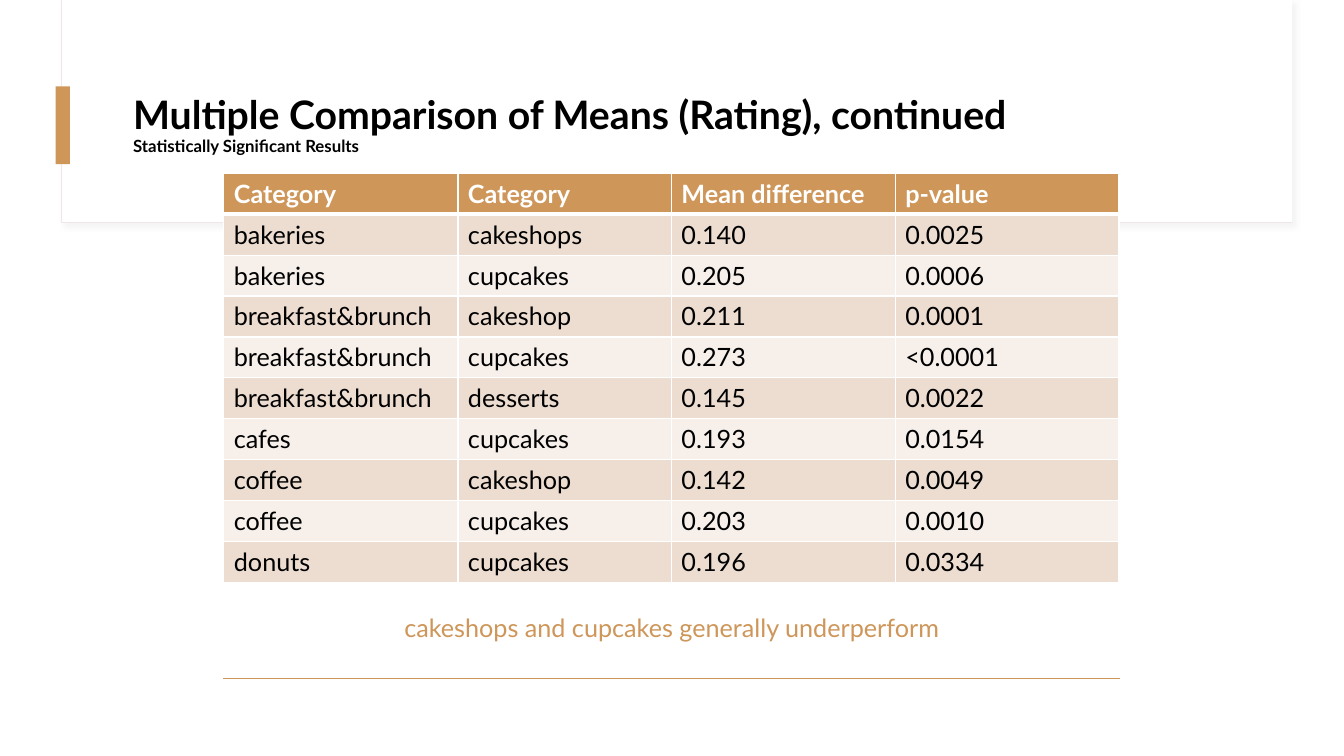
"""Build the slide with the significant rating differences between categories."""
from copy import deepcopy

from lxml import etree
from pptx import Presentation
from pptx.dml.color import RGBColor
from pptx.enum import shapes, text
from pptx.oxml import ns
from pptx.util import Cm, Pt

ACCENT, WHITE, BLACK = "CE9659", "FFFFFF", "000000"
BANDS = ["EDDDD1", "F6EFEA"]
ROWS = [
    ("Category", "Category", "Mean difference", "p-value"),
    ("bakeries", "cakeshops", "0.140", "0.0025"),
    ("bakeries", "cupcakes", "0.205", "0.0006"),
    ("breakfast&brunch", "cakeshop", "0.211", "0.0001"),
    ("breakfast&brunch", "cupcakes", "0.273", "<0.0001"),
    ("breakfast&brunch", "desserts", "0.145", "0.0022"),
    ("cafes", "cupcakes", "0.193", "0.0154"),
    ("coffee", "cakeshop", "0.142", "0.0049"),
    ("coffee", "cupcakes", "0.203", "0.0010"),
    ("donuts", "cupcakes", "0.196", "0.0334"),
]


def paint(target, color):
    if hasattr(target, "solid"):
        target.solid()
        target.fore_color.rgb = RGBColor.from_string(color)
    else:
        target.color.rgb = RGBColor.from_string(color)


def format_cell(cell, fill, color, bold, borders):
    properties = cell._tc.get_or_add_tcPr()
    for side, (line_color, points) in borders.items():
        line = etree.SubElement(properties, ns.qn(f"a:ln{side}"), w=str(Pt(points)))
        solid = etree.SubElement(line, ns.qn("a:solidFill"))
        etree.SubElement(solid, ns.qn("a:srgbClr"), val=line_color)
    paint(cell.fill, fill)
    for run in cell.text_frame.paragraphs[0].runs:
        run.font.name, run.font.size, run.font.bold = "Lato", Pt(18), bold
        paint(run.font, color)


presentation = Presentation()
presentation.slide_width, presentation.slide_height = Cm(33.87), Cm(19.05)
slide = presentation.slides.add_slide(presentation.slide_layouts[5])

panels = []
for left, top, width, height, color in [
    (1.55, 0, 31.01, 5.61, WHITE),
    (1.57, 0, 30.99, 5.59, WHITE),
    (1.4, 2.18, 0.36, 1.96, ACCENT),
]:
    panel = slide.shapes.add_shape(
        shapes.MSO_SHAPE.RECTANGLE, Cm(left), Cm(top), Cm(width), Cm(height))
    panel.shadow.inherit = False
    paint(panel.fill, color)
    panel.line.fill.background()
    panels.append(panel)
frame = panels[0]
paint(frame.line, "F0E5E8")
frame.line.width = Pt(0.75)
effects = frame._element.spPr.find(ns.qn("a:effectLst"))
shadow = etree.SubElement(effects, ns.qn("a:outerShdw"), blurRad=str(Pt(4)),
                          dist=str(Pt(3)), dir="2700000", algn="tl", rotWithShape="0")
shadow_color = etree.SubElement(shadow, ns.qn("a:srgbClr"), val="D9D9D9")
etree.SubElement(shadow_color, ns.qn("a:alpha"), val="30000")

summary = slide.shapes.add_table(2, 1, Cm(5.64), Cm(11.46), Cm(22.58), Cm(5.64)).table
summary.first_row = summary.horz_banding = False
summary.rows[0].height, summary.rows[1].height = Cm(3.1), Cm(2.54)
conclusion = summary.cell(1, 0)
conclusion.text_frame.text = "cakeshops and cupcakes generally underperform"
conclusion.text_frame.paragraphs[0].alignment = text.PP_ALIGN.CENTER
conclusion.vertical_anchor = text.MSO_ANCHOR.MIDDLE
format_cell(summary.cell(0, 0), WHITE, ACCENT, False, {"T": (ACCENT, 1)})
format_cell(conclusion, WHITE, ACCENT, False, {"B": (ACCENT, 1)})

title = slide.shapes.title
title.left, title.top, title.width, title.height = Cm(3.1), Cm(1.52), Cm(28.24), Cm(3.28)
title._element.getparent().append(title._element)
title.text_frame.text = "Multiple Comparison of Means (Rating), continued\vStatistically Significant Results"
title.text_frame.word_wrap = True
title.text_frame.auto_size = text.MSO_AUTO_SIZE.NONE
title.text_frame.vertical_anchor = text.MSO_ANCHOR.MIDDLE
heading = title.text_frame.paragraphs[0]
heading.alignment = text.PP_ALIGN.LEFT
heading.line_spacing = 0.9
for run, size in zip(heading.runs, (28, 12)):
    run.font.name, run.font.size, run.font.bold = "Lato", Pt(size), True
    paint(run.font, BLACK)
line_break = heading._p.find(ns.qn("a:br"))
line_break.insert(0, deepcopy(heading.runs[0]._r.rPr))

results = slide.shapes.add_table(
    len(ROWS), len(ROWS[0]), Cm(5.64), Cm(4.37), Cm(22.56), Cm(10.3)).table
for column, width in zip(results.columns, (5.9, 5.38, 5.64, 5.64)):
    column.width = Cm(width)
for row_index, values in enumerate(ROWS):
    header = row_index == 0
    results.rows[row_index].height = Cm(1.03)
    borders = {side: (WHITE, 1) for side in "LRTB"}
    if row_index < 2:
        borders["B" if header else "T"] = (WHITE, 3)
    fill = ACCENT if header else BANDS[(row_index - 1) % 2]
    for column_index, value in enumerate(values):
        cell = results.cell(row_index, column_index)
        cell.text_frame.text = value
        format_cell(cell, fill, WHITE if header else BLACK, header, borders)

presentation.save("out.pptx")
